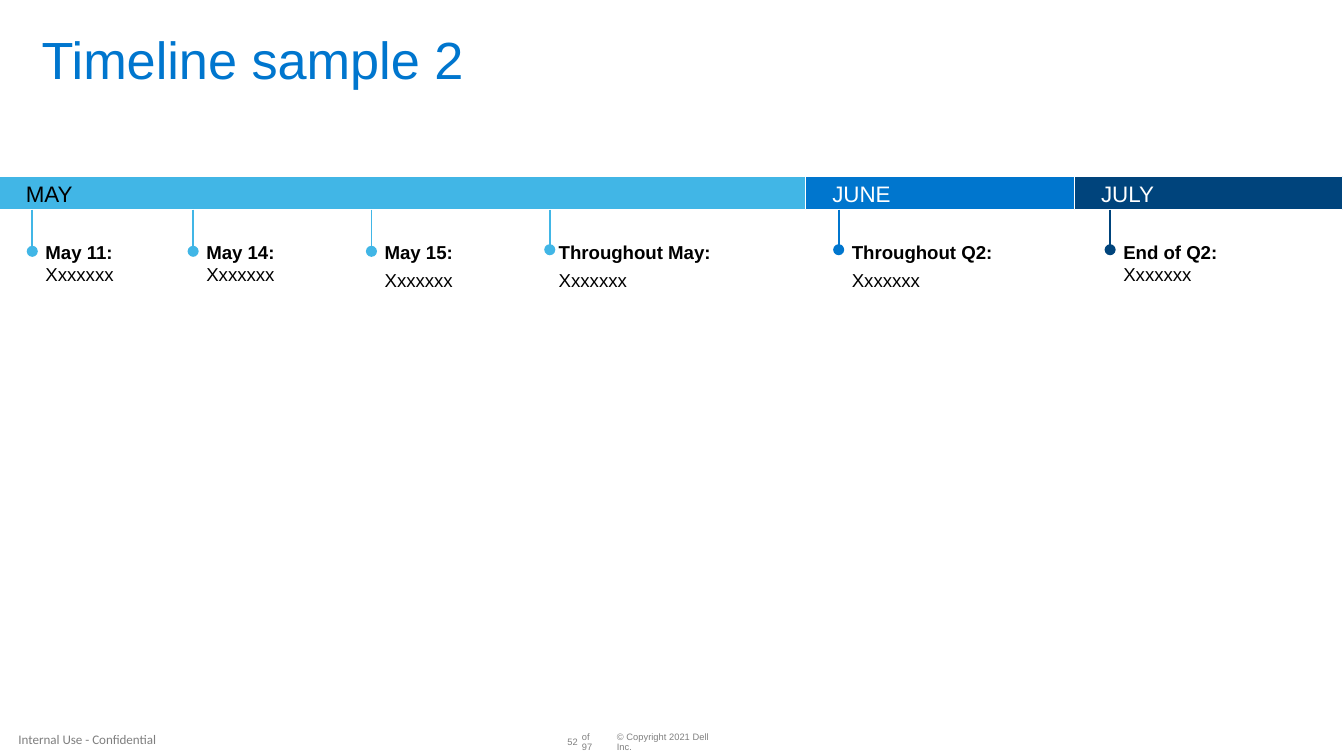
import pptx
import pptx.dml.color
import pptx.enum.shapes
import pptx.enum.text
import pptx.oxml
import pptx.util
from dataclasses import dataclass

Cm = pptx.util.Cm
Align = pptx.enum.text.PP_ALIGN
Anchor = pptx.enum.text.MSO_ANCHOR


@dataclass(frozen=True)
class Theme:
    font: str = "Arial"
    label_font: str = "Calibri"
    black: str = "000000"
    white: str = "FFFFFF"
    gray: str = "808080"
    label_gray: str = "7F7F7F"
    sky: str = "41B6E6"
    blue: str = "0076CE"
    navy: str = "00447C"
    title_size: int = 28
    month_size: int = 12
    event_size: int = 10
    label_size: int = 7
    footer_size: int = 5


def rgb(color):
    return pptx.dml.color.RGBColor.from_string(color)


class TimelineSlide:
    def __init__(self, slide, theme):
        self.shapes = slide.shapes
        self.theme = theme

    def add_run(self, paragraph, text, size, color, font=None, bold=False):
        run = paragraph.add_run()
        run.text = text
        run.font.name = font or self.theme.font
        run.font.size = pptx.util.Pt(size)
        run.font.bold = bold
        run.font.color.rgb = rgb(color)

    def add_box(self, left, top, width, height, inset=None):
        box = self.shapes.add_textbox(Cm(left), Cm(top), Cm(width), Cm(height))
        frame = box.text_frame
        frame.word_wrap = True
        frame.auto_size = pptx.enum.text.MSO_AUTO_SIZE.SHAPE_TO_FIT_TEXT
        if inset is not None:
            frame.margin_left = frame.margin_right = Cm(inset)
            frame.margin_top = frame.margin_bottom = Cm(inset)
        return frame

    def add_line_of_text(self, text, place, size, color, font=None,
                         align=Align.LEFT, anchor=Anchor.MIDDLE, spacing=0.9):
        frame = self.add_box(*place, inset=0)
        frame.vertical_anchor = anchor
        paragraph = frame.paragraphs[0]
        paragraph.alignment = align
        paragraph.line_spacing = spacing
        self.add_run(paragraph, text, size, color, font)

    def add_month(self, name, left, width, fill, text_color):
        bar = self.shapes.add_shape(pptx.enum.shapes.MSO_SHAPE.RECTANGLE,
                                    Cm(left), Cm(3.33), Cm(width), Cm(0.64))
        bar.shadow.inherit = False
        bar.fill.solid()
        bar.fill.fore_color.rgb = rgb(fill)
        bar.line.color.rgb = rgb(self.theme.white)
        bar.line.width = pptx.util.Pt(0.5)
        frame = bar.text_frame
        frame.vertical_anchor = Anchor.MIDDLE
        frame.margin_left = Cm(0.51)
        frame.margin_right = frame.margin_top = frame.margin_bottom = Cm(0.38)
        paragraph = frame.paragraphs[0]
        paragraph.alignment = Align.LEFT
        self.add_run(paragraph, name, self.theme.month_size, text_color)

    def add_marker(self, x, bottom, color):
        marker = self.shapes.add_connector(
            pptx.enum.shapes.MSO_CONNECTOR.STRAIGHT,
            Cm(x), Cm(3.96), Cm(x), Cm(bottom))
        marker.line.color.rgb = rgb(color)
        marker.line.width = pptx.util.Pt(1)
        namespace = pptx.oxml.ns.nsdecls("a")
        marker.line._get_or_add_ln().append(
            pptx.oxml.parse_xml(f'<a:tailEnd {namespace} type="oval"/>'))
        marker._element.spPr.append(
            pptx.oxml.parse_xml(f"<a:effectLst {namespace}/>"))

    def add_event(self, date, detail, left, width, spaced):
        theme = self.theme
        frame = self.add_box(left, 4.42, width, 1.22 if spaced else 1.12)
        paragraph = frame.paragraphs[0]
        self.add_run(paragraph, date, theme.event_size, theme.black, bold=True)
        if spaced:
            paragraph = frame.add_paragraph()
            paragraph.space_before = pptx.util.Pt(3)
        else:
            paragraph.add_line_break()
        self.add_run(paragraph, detail, theme.event_size, theme.black)


def main():
    theme = Theme()
    deck = pptx.Presentation()
    deck.slide_width, deck.slide_height = Cm(25.4), Cm(14.29)
    page = TimelineSlide(deck.slides.add_slide(deck.slide_layouts[6]), theme)

    # Footer
    for text, left, width, align in (
        ("© Copyright 2021 Dell Inc.", 11.66, 2.06, Align.LEFT),
        ("52", 10.72, 0.2, Align.RIGHT),
        ("of 97", 11, 0.38, Align.LEFT),
    ):
        page.add_line_of_text(text, (left, 13.94, width, 0.2),
                              theme.footer_size, theme.gray, align=align)
    page.add_line_of_text("Internal Use - Confidential", (0, 13.69, 3.3, 0.58),
                          theme.label_size, theme.label_gray,
                          theme.label_font, Align.CENTER, spacing=1.0)

    # Title
    page.add_line_of_text("Timeline sample 2", (0.79, 0.64, 23.83, 1.07),
                          theme.title_size, theme.blue, anchor=Anchor.TOP)

    # Month bars, laid end to end
    month_left = -0.02
    for month, width, fill, text_color in (
        ("MAY", 15.24, theme.sky, theme.black),
        ("JUNE", 5.08, theme.blue, theme.white),
        ("JULY", 5.08, theme.navy, theme.white),
    ):
        page.add_month(month, month_left, width, fill, text_color)
        month_left += width

    # Events: date, marker x, marker end, text left, text width, spaced, color
    for date, x, bottom, left, width, spaced, color in (
        ("May 11:", 0.61, 4.75, 0.61, 2.72, False, theme.sky),
        ("May 14: ", 3.65, 4.75, 3.65, 3.23, False, theme.sky),
        ("May 15:", 7.02, 4.75, 7.02, 3.15, True, theme.sky),
        ("Throughout May:", 10.39, 4.72, 10.31, 5.23, True, theme.sky),
        ("Throughout Q2:", 15.85, 4.72, 15.85, 4.6, True, theme.blue),
        ("End of Q2:", 20.98, 4.72, 20.98, 3.71, False, theme.navy),
    ):
        page.add_marker(x, bottom, color)
        page.add_event(date, "Xxxxxxx", left, width, spaced)

    deck.save("out.pptx")


if __name__ == "__main__":
    main()
